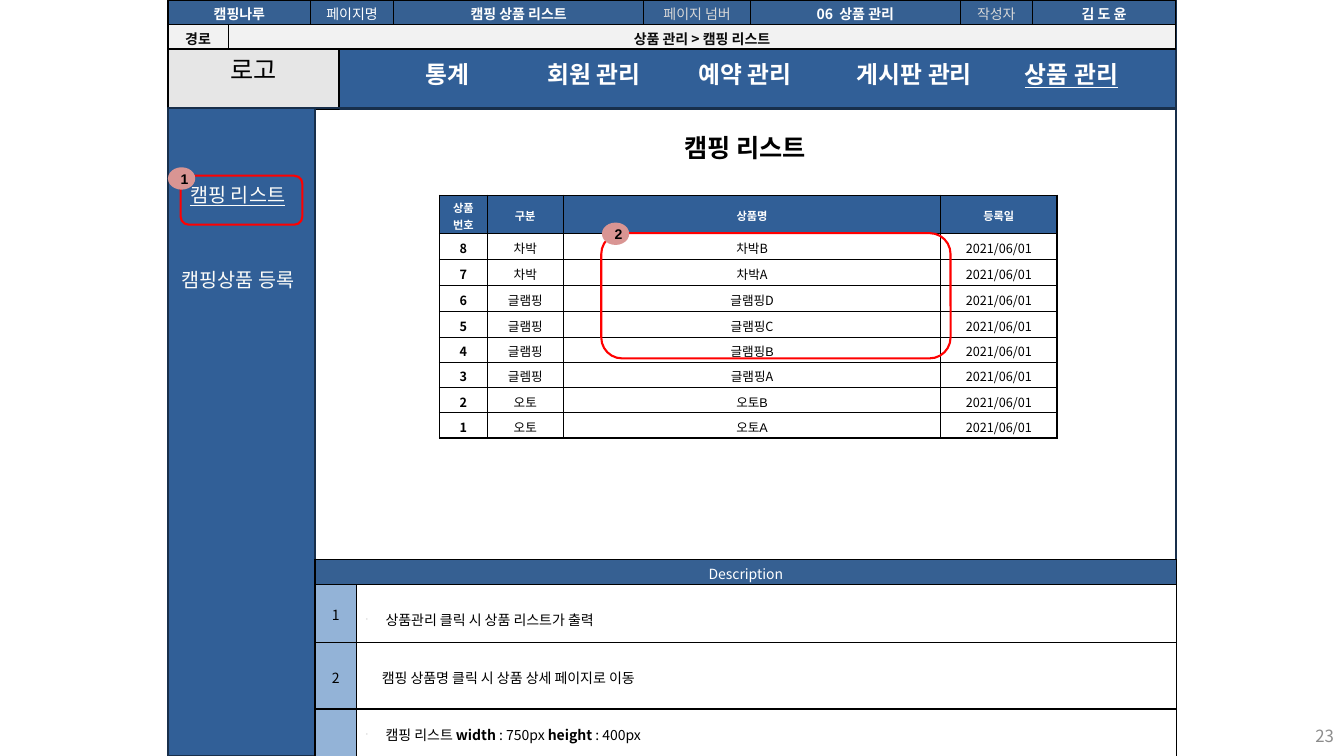
from lxml.etree import SubElement
from pptx import Presentation
from pptx.dml.color import RGBColor
from pptx.enum.shapes import MSO_SHAPE
from pptx.enum.text import MSO_ANCHOR, PP_ALIGN
from pptx.oxml.ns import qn
from pptx.util import Pt

KOREAN = "Noto Sans CJK KR"
NAVY, HEADER, PALE, EDGE = "315F97", "366092", "93B3D7", "182F4B"
WHITE, BLACK, RED, GREY = "FFFFFF", "000000", "FF0000", "D8D8D8"
LEFT, CENTER, RIGHT = PP_ALIGN.LEFT, PP_ALIGN.CENTER, PP_ALIGN.RIGHT

MENU = [("통계", 297, 48), ("회원 관리", 384, 85), ("예약 관리", 492, 86),
        ("게시판 관리", 605, 102), ("상품 관리", 725, 85)]
PRODUCTS = [("8", "차박", "차박B"), ("7", "차박", "차박A"),
            ("6", "글램핑", "글램핑D"), ("5", "글램핑", "글램핑C"),
            ("4", "글램핑", "글램핑B"), ("3", "글렘핑", "글램핑A"),
            ("2", "오토", "오토B"), ("1", "오토", "오토A")]
ARIAL_NAMES = {"글램핑B", "오토B", "오토A"}
TITLE_CELLS = [(0, "캠핑나루", WHITE, True), (2, "페이지명", WHITE, False),
               (3, "캠핑 상품 리스트", WHITE, True), (4, "페이지 넘버", GREY, False),
               (5, "06  상품 관리", WHITE, True), (6, "작성자", GREY, False),
               (7, "김 도 윤", WHITE, True)]


def paint(target, color):
    """Give a fill, line or font its colour from a hex string."""
    if hasattr(target, "solid"):
        target.solid()
        target = target.fore_color
    else:
        target = target.color
    target.rgb = RGBColor.from_string(color)


def apply(target, values):
    """Set every attribute named in a dict of format values."""
    for name, value in values.items():
        setattr(target, name, value)


def write(frame, text, size, color=BLACK, align=CENTER, name=KOREAN, **format_values):
    """Write one paragraph from a string or a list of text and format pairs."""
    para = frame.paragraphs[0]
    para.alignment = align
    for words, extra in [(text, {})] if isinstance(text, str) else text:
        span = para.add_run()
        span.text = words
        apply(span.font, {"size": Pt(size), "name": name, **format_values, **extra})
        paint(span.font, color)
        SubElement(span._r.get_or_add_rPr(), qn("a:ea"), typeface=KOREAN)
    return para


def add_box(page, bounds, fill=None, line=None, kind=MSO_SHAPE.RECTANGLE):
    """Add a preset shape with an optional fill and outline."""
    box = page.shapes.add_shape(kind, *map(Pt, bounds))
    box.shadow.inherit = False
    if fill:
        paint(box.fill, fill)
    else:
        box.fill.background()
    if line:
        paint(box.line, line)
        box.line.width = Pt(1.5)
    else:
        box.line.fill.background()
    return box


def add_label(page, bounds, text, size, color, align=LEFT, wrap=False, **format_values):
    """Add a vertically centred text box."""
    frame = page.shapes.add_textbox(*map(Pt, bounds)).text_frame
    apply(frame, {"word_wrap": wrap, "vertical_anchor": MSO_ANCHOR.MIDDLE,
                  "margin_top": 0, "margin_bottom": 0})
    write(frame, text, size, color, align, **format_values)


def add_badge(page, left, top, number):
    """Add a numbered callout badge."""
    badge = add_box(page, (left, top, 19.5, 16), "D99593", kind=MSO_SHAPE.OVAL)
    apply(badge.text_frame, {"margin_left": Pt(4), "margin_right": 0, "margin_top": 0,
                             "margin_bottom": 0, "vertical_anchor": MSO_ANCHOR.MIDDLE,
                             "word_wrap": False})
    write(badge.text_frame, number, 10, name="Arial", bold=True)


def add_grid(page, left, top, widths, heights):
    """Add a plain table with the given column widths and row heights."""
    bounds = map(Pt, (left, top, sum(widths), sum(heights)))
    table = page.shapes.add_table(len(heights), len(widths), *bounds).table
    apply(table, {"first_row": False, "horz_banding": False})
    for column, width in zip(table.columns, widths):
        column.width = Pt(width)
    for row, height in zip(table.rows, heights):
        row.height = Pt(height)
    for cell in table.iter_cells():
        apply(cell, {"margin_top": Pt(2), "margin_bottom": 0,
                     "vertical_anchor": MSO_ANCHOR.MIDDLE})
        for side in ("lnL", "lnR", "lnT", "lnB"):
            border = SubElement(cell._tc.get_or_add_tcPr(), qn(f"a:{side}"), w=str(Pt(1)))
            SubElement(SubElement(border, qn("a:solidFill")), qn("a:srgbClr"), val=BLACK)
        paint(cell.fill, WHITE)
    return table


def fill_cell(cell, text, size, color=BLACK, fill=WHITE, **format_values):
    """Fill a table cell with colour and text."""
    paint(cell.fill, fill)
    return write(cell.text_frame, text, size, color, **format_values)


def indent(para, margin, bullet=False):
    """Indent a paragraph, with a small hanging dash if wanted."""
    props = para._p.get_or_add_pPr()
    props.set("marL", str(Pt(margin)))
    props.set("indent", str(Pt(-margin if bullet else 0)))
    if bullet:
        SubElement(SubElement(props, qn("a:buClr")), qn("a:srgbClr"), val=BLACK)
        SubElement(props, qn("a:buSzPct"), val="25000")
        SubElement(props, qn("a:buChar"), char="-")


def add_layout(page):
    """Add the frame, menu bar, logo area and side menu."""
    add_box(page, (120, 0, 720, 540), line=EDGE)
    add_box(page, (120, 35, 720, 42.5), NAVY, EDGE)
    logo = add_box(page, (120, 0, 122, 78), "E6E6E6", BLACK)
    apply(logo.text_frame, {"margin_top": Pt(21), "margin_bottom": 0,
                            "vertical_anchor": MSO_ANCHOR.MIDDLE})
    write(logo.text_frame, "로고", 18)
    add_box(page, (120, 77, 105, 463), NAVY, EDGE)
    add_box(page, (225, 77, 615, 463), line=EDGE)
    for text, left, width in MENU:
        add_label(page, (left, 39, width, 28), text, 17, WHITE, bold=True,
                  underline=text == "상품 관리")
    add_box(page, (129, 125.5, 87, 35), line=RED, kind=MSO_SHAPE.ROUNDED_RECTANGLE)
    add_badge(page, 120, 119.5, "1")
    add_label(page, (129, 127.5, 86, 23), "캠핑 리스트", 14, "FCFCF9", underline=True)
    add_label(page, (122.5, 188, 100, 23), "캠핑상품 등록", 14, "FCFCF9")


def add_descriptions(page):
    """Add the table that explains the numbered callouts."""
    table = add_grid(page, 225, 399.5, [29.5, 586], [18, 41.5, 47.5, 34])
    table.cell(0, 0).merge(table.cell(0, 1))
    fill_cell(table.cell(0, 0), "Description", 10, WHITE, HEADER)
    size_note = [("캠핑 리스트 ", {}), ("width ", {"bold": True}), (": 750px ", {}),
                 ("height ", {"bold": True}), (": 400px", {})]
    notes = [("1", "상품관리 클릭 시 상품 리스트가 출력", 13.7, True),
             ("2", "캠핑 상품명 클릭 시 상품 상세 페이지로 이동", 11, False),
             ("", size_note, 13.7, True)]
    for row, (number, note, margin, bullet) in enumerate(notes, 1):
        fill_cell(table.cell(row, 0), number or [], 10, fill=PALE)
        indent(fill_cell(table.cell(row, 1), note, 10, align=LEFT), margin, bullet)
    table.cell(1, 1).margin_top = Pt(8)


def add_products(page):
    """Add the product list and its callout."""
    table = add_grid(page, 314, 139.5, [34, 54.5, 269.5, 83], [27.5] + [18.5] * 4 + [18] * 4)
    for column, text in enumerate(["상품번호", "구분", "상품명", "등록일"]):
        fill_cell(table.cell(0, column), text, 8, WHITE, NAVY, bold=True)
    for row, product in enumerate(PRODUCTS, 1):
        for column, text in enumerate((*product, "2021/06/01")):
            fill_cell(table.cell(row, column), text, 9, bold=column == 0,
                      name="Arial" if text in ARIAL_NAMES else KOREAN)
    add_box(page, (429.5, 166.5, 249.5, 89.5), line=RED, kind=MSO_SHAPE.ROUNDED_RECTANGLE)
    add_badge(page, 430, 159, "2")


def add_page_header(page):
    """Add the document header and breadcrumb table."""
    table = add_grid(page, 120, 0, [43, 59, 59, 179, 76, 150, 51.5, 102.5], [17.5, 17.5])
    table.cell(0, 0).merge(table.cell(0, 1))
    table.cell(1, 1).merge(table.cell(1, 7))
    for column, text, color, bold in TITLE_CELLS:
        fill_cell(table.cell(0, column), text, 10, color, HEADER, bold=bold)
    for column, text in enumerate(["경로", "상품 관리 > 캠핑 리스트"]):
        fill_cell(table.cell(1, column), text, 10, "0C0C0C", "F2F2F2", bold=True)


def main():
    """Build the camping list screen and save the deck."""
    deck = Presentation()
    apply(deck, {"slide_width": Pt(960), "slide_height": Pt(540)})
    page = deck.slides.add_slide(deck.slide_layouts[6])
    add_layout(page)
    add_descriptions(page)
    add_products(page)
    add_page_header(page)
    add_label(page, (736, 511, 224, 29), "23", 12, "8C8C8C", RIGHT, wrap=True)
    add_label(page, (436, 91.5, 192.5, 28), "캠핑 리스트", 18, BLACK, CENTER,
              wrap=True, bold=True)
    deck.save("out.pptx")


main()
